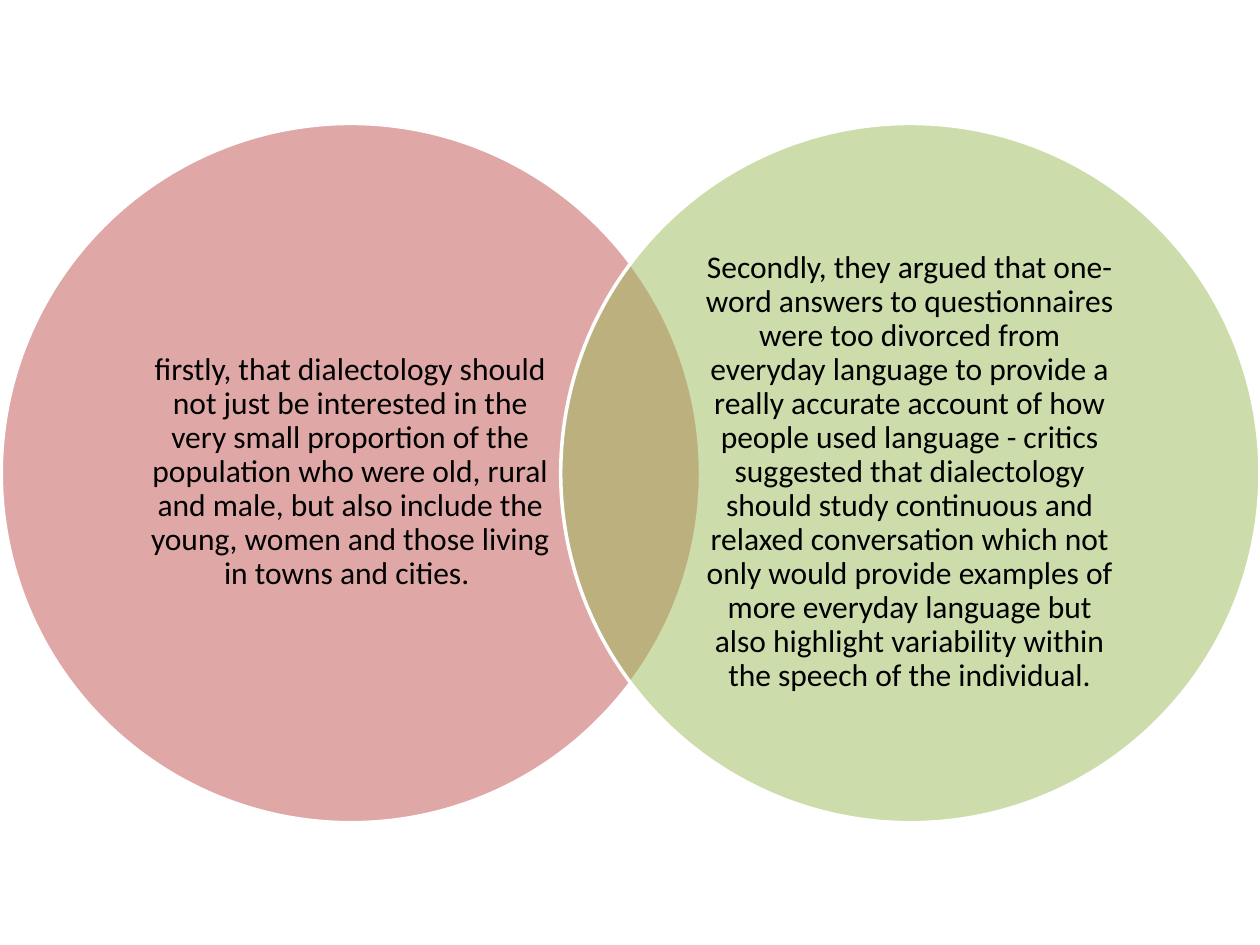
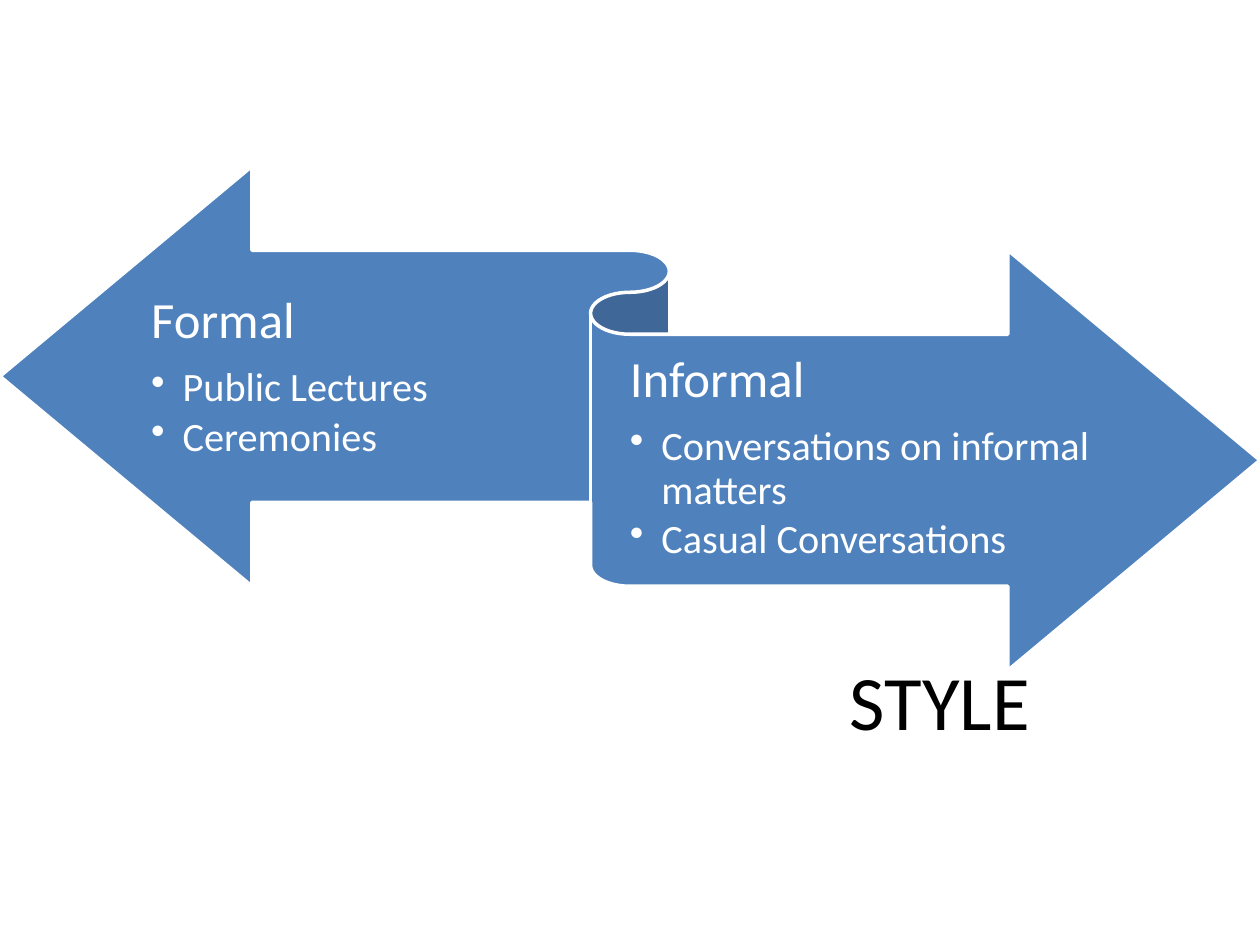
from dataclasses import dataclass

from lxml.etree import SubElement
from pptx import Presentation
from pptx.dml.color import RGBColor
from pptx.enum.shapes import MSO_SHAPE as SHAPE
from pptx.enum.text import MSO_ANCHOR as ANCHOR, PP_ALIGN as ALIGN
from pptx.oxml.ns import qn
from pptx.util import Emu, Pt

PX = 9144


@dataclass(frozen=True)
class Theme:
    font: str = "Calibri"
    ink: str = "000000"
    paper: str = "FFFFFF"
    red: str = "C0504D"
    green: str = "9BBB59"
    blue: str = "4F81BD"
    title: int = 44
    heading: int = 29
    item: int = 23
    body: int = 18
    outline: int = 2
    leading: float = 0.9
    wide_gap: float = 0.35
    narrow_gap: float = 0.15


def px(n):
    return Emu(n * PX)


def write(p, text, *, font, size, color, align=ALIGN.LEFT, leading=None, gap=0, bullet_indent=0):
    p.alignment = align
    if leading:
        p.line_spacing = leading
        p.space_after = Pt(round(size * gap, 1))
    if bullet_indent:
        p.level = 1
        pPr = p._p.get_or_add_pPr()
        pPr.set("marL", str(px(bullet_indent)))
        pPr.set("indent", str(-px(bullet_indent)))
        SubElement(pPr, qn("a:buChar")).set("char", "•")
    r = p.add_run()
    r.text = text
    r.font.name = font
    r.font.size = Pt(size)
    r.font.color.rgb = RGBColor.from_string(color)


class Deck:
    def __init__(self, theme):
        self.theme = theme
        self.prs = Presentation()
        self.prs.slide_width, self.prs.slide_height = px(1000), px(750)
        self.s = None

    def blank_slide(self):
        self.s = self.prs.slides.add_slide(self.prs.slide_layouts[6])

    def title_slide(self, text, x, y, w, h):
        t = self.theme
        self.s = self.prs.slides.add_slide(self.prs.slide_layouts[5])
        sp = self.s.shapes.title
        sp.left, sp.top, sp.width, sp.height = map(px, (x, y, w, h))
        tf = sp.text_frame
        tf.vertical_anchor = ANCHOR.MIDDLE
        write(tf.paragraphs[0], text, font=t.font, size=t.title, color=t.ink, align=ALIGN.CENTER)

    def shape(self, kind, x, y, w, h, color, opacity=100):
        t = self.theme
        sp = self.s.shapes.add_shape(kind, *map(px, (x, y, w, h)))
        sp.shadow.inherit = False
        sp.fill.solid()
        sp.fill.fore_color.rgb = RGBColor.from_string(color)
        sp.line.color.rgb = RGBColor.from_string(t.paper)
        sp.line.width = Pt(t.outline)
        if opacity < 100:
            clr = sp._element.spPr.find(qn("a:solidFill"))[0]
            SubElement(clr, qn("a:alpha")).set("val", str(opacity * 1000))

    def text_box(self, x, y, w, h, insets):
        tf = self.s.shapes.add_textbox(*map(px, (x, y, w, h))).text_frame
        tf.word_wrap = True
        tf.vertical_anchor = ANCHOR.MIDDLE
        tf.margin_left, tf.margin_top, tf.margin_right, tf.margin_bottom = map(px, insets)
        return tf

    def venn_circle(self, x, y, size, color, text):
        t = self.theme
        self.shape(SHAPE.OVAL, x, y, size, size, color, opacity=50)
        inset = 81
        side = size - 2 * inset - 1
        tf = self.text_box(x + inset, y + inset, side, side, (31, 3, 31, 3))
        write(tf.paragraphs[0], text, font=t.font, size=t.body, color=t.ink,
              align=ALIGN.CENTER, leading=t.leading, gap=t.wide_gap)

    def arrow_text(self, x, y, w, h, heading, items):
        t = self.theme
        tf = self.text_box(x, y, w, h, (0, 11, 0, 12))
        common = dict(font=t.font, color=t.paper, leading=t.leading)
        write(tf.paragraphs[0], heading, size=t.heading, gap=t.wide_gap, **common)
        for item in items:
            write(tf.add_paragraph(), item, size=t.item, gap=t.narrow_gap, bullet_indent=25, **common)


def criticisms_slide(deck):
    deck.blank_slide()
    circles = [
        (1, deck.theme.red,
         "firstly, that dialectology should not just be interested in the very small proportion "
         "of the population who were old, rural and male, but also include the young, women "
         "and those living in towns and cities. "),
        (445, deck.theme.green,
         "Secondly, they argued that one-word answers to questionnaires were too divorced from "
         "everyday language to provide a really accurate account of how people used language - "
         "critics suggested that dialectology should study continuous and relaxed conversation "
         "which not only would provide examples of more everyday language but also highlight "
         "variability within the speech of the individual."),
    ]
    for x, color, text in circles:
        deck.venn_circle(x, 98, 555, color, text)


def style_slide(deck):
    deck.title_slide("STYLE", 350, 493, 792, 125)
    deck.shape(SHAPE.LEFT_RIGHT_RIBBON, 0, 132, 1000, 400, deck.theme.blue)
    deck.arrow_text(120, 202, 330, 196, "Formal", ["Public Lectures", "Ceremonies"])
    deck.arrow_text(500, 266, 390, 196, "Informal",
                    ["Conversations on informal matters", "Casual Conversations"])


def main():
    deck = Deck(Theme())
    criticisms_slide(deck)
    style_slide(deck)
    deck.prs.save("out.pptx")


if __name__ == "__main__":
    main()
